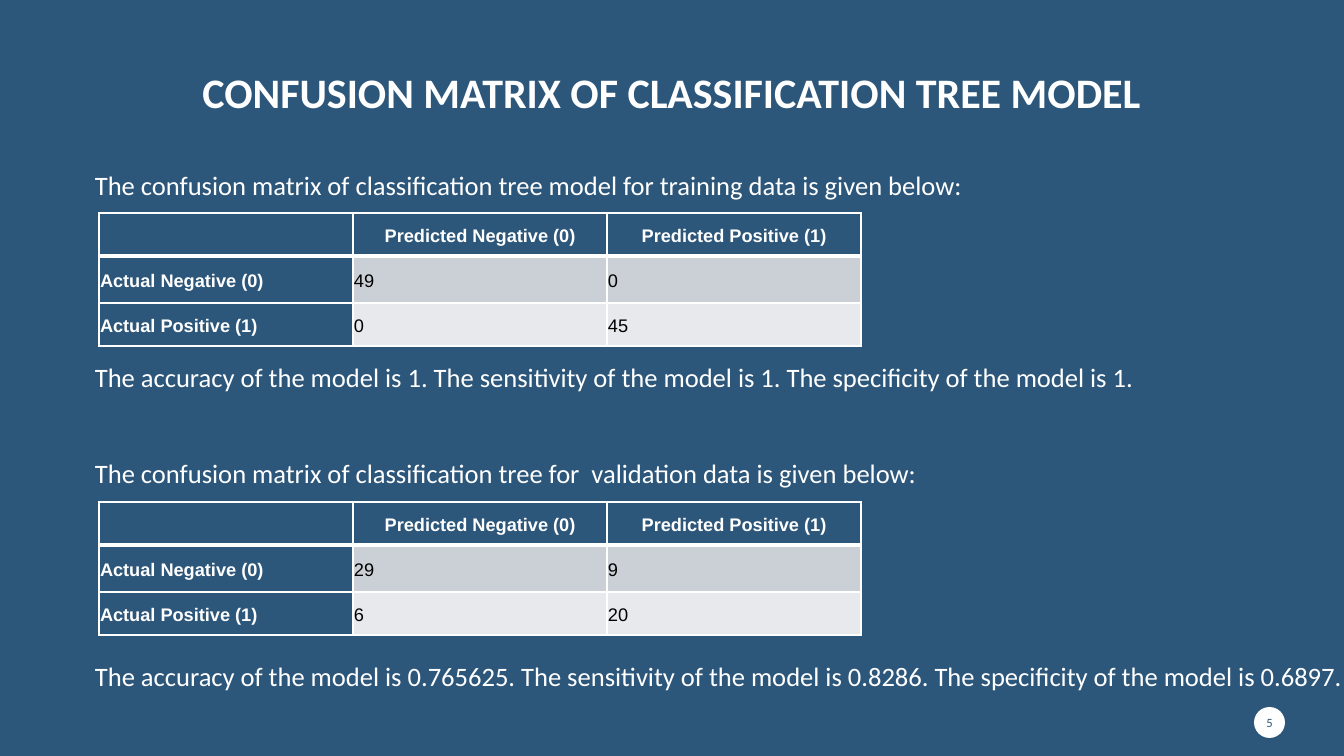
import pptx
import pptx.util
import pptx.dml.color
import pptx.enum.shapes
import pptx.enum.text
import pptx.oxml.ns
import lxml.etree

RGB = pptx.dml.color.RGBColor
NAVY = RGB(0x2C, 0x56, 0x7A)
WHITE = RGB(0xFF, 0xFF, 0xFF)
BLACK = RGB(0, 0, 0)
BANDS = [RGB(0xCB, 0xD0, 0xD6), RGB(0xE7, 0xE9, 0xEC)]
CENTER = pptx.enum.text.PP_ALIGN.CENTER
LEFT = pptx.enum.text.PP_ALIGN.LEFT
MIDDLE = pptx.enum.text.MSO_ANCHOR.MIDDLE
SCALE = 914400 / 100.8


def px(*lengths):
    return [round(n * SCALE) for n in lengths]


def write(tf, text, size, color, font="Calibri", bold=False, align=LEFT, spacing=1.0):
    p = tf.paragraphs[0]
    p.alignment = align
    p.line_spacing = spacing
    r = p.add_run()
    r.text = text
    r.font.name = font
    r.font.size = pptx.util.Pt(size)
    r.font.bold = bold
    r.font.color.rgb = color


prs = pptx.Presentation()
prs.slide_width, prs.slide_height = px(1344, 756)
s = prs.slides.add_slide(prs.slide_layouts[5])
s.background.fill.solid()
s.background.fill.fore_color.rgb = NAVY

title = s.shapes.title
title.left, title.top, title.width, title.height = px(115, 45, 1114, 78)
title.text_frame.vertical_anchor = pptx.enum.text.MSO_ANCHOR.BOTTOM
write(title.text_frame, "CONFUSION MATRIX OF CLASSIFICATION TREE MODEL", 30, WHITE,
      bold=True, align=CENTER, spacing=0.9)

badge = s.shapes.add_shape(pptx.enum.shapes.MSO_SHAPE.OVAL, *px(1254, 707, 31, 31))
badge.shadow.inherit = False
badge.fill.solid()
badge.fill.fore_color.rgb = WHITE
badge.line.fill.background()
tf = badge.text_frame
tf.margin_left = tf.margin_right = tf.margin_top = tf.margin_bottom = 0
tf.vertical_anchor = MIDDLE
write(tf, "5", 9, NAVY, align=CENTER)

matrices = [
    (213, [["49", "0"], ["0", "45"]]),
    (502, [["29", "9"], ["6", "20"]]),
]
for top, counts in matrices:
    rows = [
        ["", "Predicted Negative (0)", "Predicted Positive (1)"],
        ["Actual Negative (0)"] + counts[0],
        ["Actual Positive (1)"] + counts[1],
    ]
    table = s.shapes.add_table(3, 3, *px(99, top, 762, 133)).table
    for col in table.columns:
        col.width = px(254)[0]
    for row, height in zip(table.rows, [43, 47, 43]):
        row.height = px(height)[0]
    for i, row in enumerate(rows):
        for j, text in enumerate(row):
            cell = table.cell(i, j)
            cell.vertical_anchor = MIDDLE
            cell.margin_left = cell.margin_right = px(1)[0]
            cell.margin_top = cell.margin_bottom = px(1)[0]
            tcPr = cell._tc.get_or_add_tcPr()
            for side in "LRTB":
                thick = (i, side) in [(0, "B"), (1, "T")]
                ln = lxml.etree.SubElement(tcPr, pptx.oxml.ns.qn("a:ln" + side))
                ln.set("w", str(pptx.util.Pt(3 if thick else 1)))
                fill = lxml.etree.SubElement(ln, pptx.oxml.ns.qn("a:solidFill"))
                lxml.etree.SubElement(fill, pptx.oxml.ns.qn("a:srgbClr")).set("val", str(WHITE))
            header = i == 0 or j == 0
            cell.fill.solid()
            cell.fill.fore_color.rgb = NAVY if header else BANDS[i - 1]
            if text:
                write(cell.text_frame, text, 13, WHITE if header else BLACK, "Arial",
                      header, CENTER if i == 0 else LEFT, 1.15)

statements = [
    (164, 933, "The confusion matrix of classification tree model for training data is given below:"),
    (356, 1247, "The accuracy of the model is 1. The sensitivity of the model is 1. "
                "The specificity of the model is 1."),
    (452, 962, "The confusion matrix of classification tree for  validation data is given below:"),
    (655, 1274, "The accuracy of the model is 0.765625. The sensitivity of the model is 0.8286. "
                "The specificity of the model is 0.6897."),
]
for top, width, text in statements:
    sp = s.shapes.add_textbox(*px(85, top, width, 42))
    sp.text_frame.word_wrap = True
    write(sp.text_frame, text, 19, WHITE)

prs.save("out.pptx")
